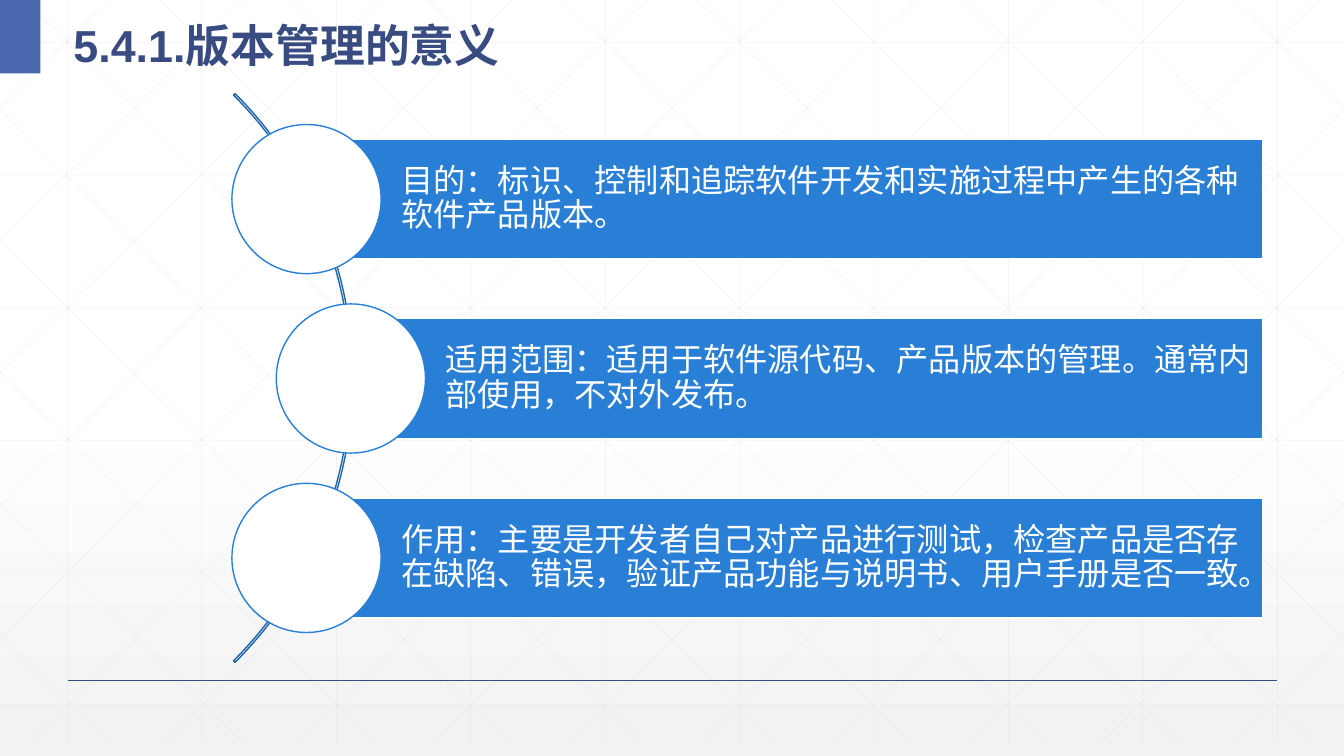
from dataclasses import dataclass

from lxml.etree import SubElement
from pptx import Presentation
from pptx.dml.color import RGBColor
from pptx.enum.shapes import MSO_CONNECTOR, MSO_SHAPE
from pptx.enum.text import MSO_ANCHOR
from pptx.oxml.ns import qn
from pptx.shapes.autoshape import Shape
from pptx.shapes.connector import Connector
from pptx.text.text import TextFrame
from pptx.util import Inches, Pt

SLIDE_W, SLIDE_H = 13.33, 7.5
NAVY, INDIGO, BLUE, DARK_BLUE = "384C81", "4A66AC", "297FD5", "2166AB"
WHITE, GRID_GREY, PALE_GREY = "FFFFFF", "D9D9D9", "F2F2F2"


@dataclass
class Point:
    text: str
    left: float
    font: str = "Arial"


POINTS = [
    Point("目的：标识、控制和追踪软件开发和实施过程中产生的各种软件产品版本。", 3.04),
    Point("适用范围：适用于软件源代码、产品版本的管理。通常内部使用，不对外发布。", 3.48),
    Point("作用：主要是开发者自己对产品进行测试，检查产品是否存在缺陷、错误，"
          "验证产品功能与说明书、用户手册是否一致。", 3.04, "Noto Sans CJK SC"),
]

prs = Presentation()
prs.slide_width, prs.slide_height = Inches(SLIDE_W), Inches(SLIDE_H)
slide = prs.slides.add_slide(prs.slide_layouts[6])


def rgb(value: str) -> RGBColor:
    return RGBColor.from_string(value)


def add_line(x1: float, y1: float, x2: float, y2: float, color: str,
             width: float) -> Connector:
    line = slide.shapes.add_connector(
        MSO_CONNECTOR.STRAIGHT, Inches(x1), Inches(y1), Inches(x2), Inches(y2))
    line.line.color.rgb = rgb(color)
    line.line.width = Pt(width)
    SubElement(line._element.spPr, qn("a:effectLst"))
    return line


def add_grid_line(x1: float, y1: float, x2: float, y2: float) -> None:
    line = add_line(x1, y1, x2, y2, GRID_GREY, 0.5)
    for color in line._element.spPr.iter(qn("a:srgbClr")):
        SubElement(color, qn("a:alpha"), val="25000")


def add_figure(kind: MSO_SHAPE, left: float, top: float, width: float, height: float,
               fill: str | None, outline: str | None) -> Shape:
    figure = slide.shapes.add_shape(
        kind, Inches(left), Inches(top), Inches(width), Inches(height))
    figure.shadow.inherit = False
    if fill:
        figure.fill.solid()
        figure.fill.fore_color.rgb = rgb(fill)
    else:
        figure.fill.background()
    if outline:
        figure.line.color.rgb = rgb(outline)
        figure.line.width = Pt(1)
    else:
        figure.line.fill.background()
    return figure


def write(frame: TextFrame, text: str, font: str, size: int, color: str,
          spacing: float, bold: bool = False) -> None:
    frame.word_wrap = True
    frame.vertical_anchor = MSO_ANCHOR.MIDDLE
    paragraph = frame.paragraphs[0]
    paragraph.text = text
    paragraph.line_spacing = spacing
    paragraph.alignment = 1
    paragraph.font.name = font
    paragraph.font.size = Pt(size)
    paragraph.font.bold = bold
    paragraph.font.color.rgb = rgb(color)


# Background fading to grey
backdrop = slide.background.fill
backdrop.gradient()
backdrop.gradient_angle = 270
for stop, (position, shade) in zip(backdrop.gradient_stops,
                                   [(0.53, WHITE), (1, PALE_GREY)]):
    stop.position = position
    stop.color.rgb = rgb(shade)

# Faint grid: verticals, horizontals, then diagonals with their mirror images
GRID_BOTTOM, STEP_X, STEP_Y, DIAGONAL_RUN = 7.37, 4 / 3, 1.316, 7.45
for i in range(10):
    x = 0.67 + i * STEP_X
    add_grid_line(x, 0, x, GRID_BOTTOM)
for i in range(6):
    y = 0.42 + i * STEP_Y
    add_grid_line(0, y, SLIDE_W, y)

diagonals = []
for i in range(10):
    start = 0.25 + i * STEP_X
    end = min(start + DIAGONAL_RUN, SLIDE_W)
    diagonals.append((start, 0, end, (end - start) * GRID_BOTTOM / DIAGONAL_RUN))
for i in range(5):
    diagonals.append((0, 1.09 + i * 1.3, 6.37 - i * 1.32, GRID_BOTTOM))
for x1, y1, x2, y2 in diagonals:
    add_grid_line(x1, y1, x2, y2)
    add_grid_line(SLIDE_W - x1, y1, SLIDE_W - x2, y2)

# Footer rule, corner block and title
add_line(0.67, 6.75, 12.67, 6.75, NAVY, 1)
add_figure(MSO_SHAPE.RECTANGLE, 0, 0, 0.4, 0.73, INDIGO, None)
title = slide.shapes.add_textbox(Inches(0.63), 0, Inches(5.69), Inches(0.73))
write(title.text_frame, "5.4.1.版本管理的意义", "Arial", 32, NAVY, 1.3, bold=True)

# Arc linking the three points
arc = add_figure(MSO_SHAPE.BLOCK_ARC, -4.48, -0.24, 7.98, 7.98, None, DARK_BLUE)
for i, adjustment in enumerate([189, 27, 0.0027]):
    arc.adjustments[i] = adjustment

# Bars, each with a circle centred on its left end
BAR_RIGHT, BAR_H, BAR_TOP, BAR_PITCH, CIRCLE = 12.52, 1.19, 1.38, 1.78, 1.48
for i, point in enumerate(POINTS):
    top = BAR_TOP + i * BAR_PITCH
    bar = add_figure(MSO_SHAPE.RECTANGLE, point.left, top,
                     BAR_RIGHT - point.left, BAR_H, BLUE, WHITE)
    frame = bar.text_frame
    frame.margin_left = Inches(0.94)
    frame.margin_top = frame.margin_right = frame.margin_bottom = Inches(0.06)
    write(frame, point.text, point.font, 23, WHITE, 0.9)
    add_figure(MSO_SHAPE.OVAL, point.left - CIRCLE / 2, top + (BAR_H - CIRCLE) / 2,
               CIRCLE, CIRCLE, WHITE, BLUE)

prs.save("out.pptx")
